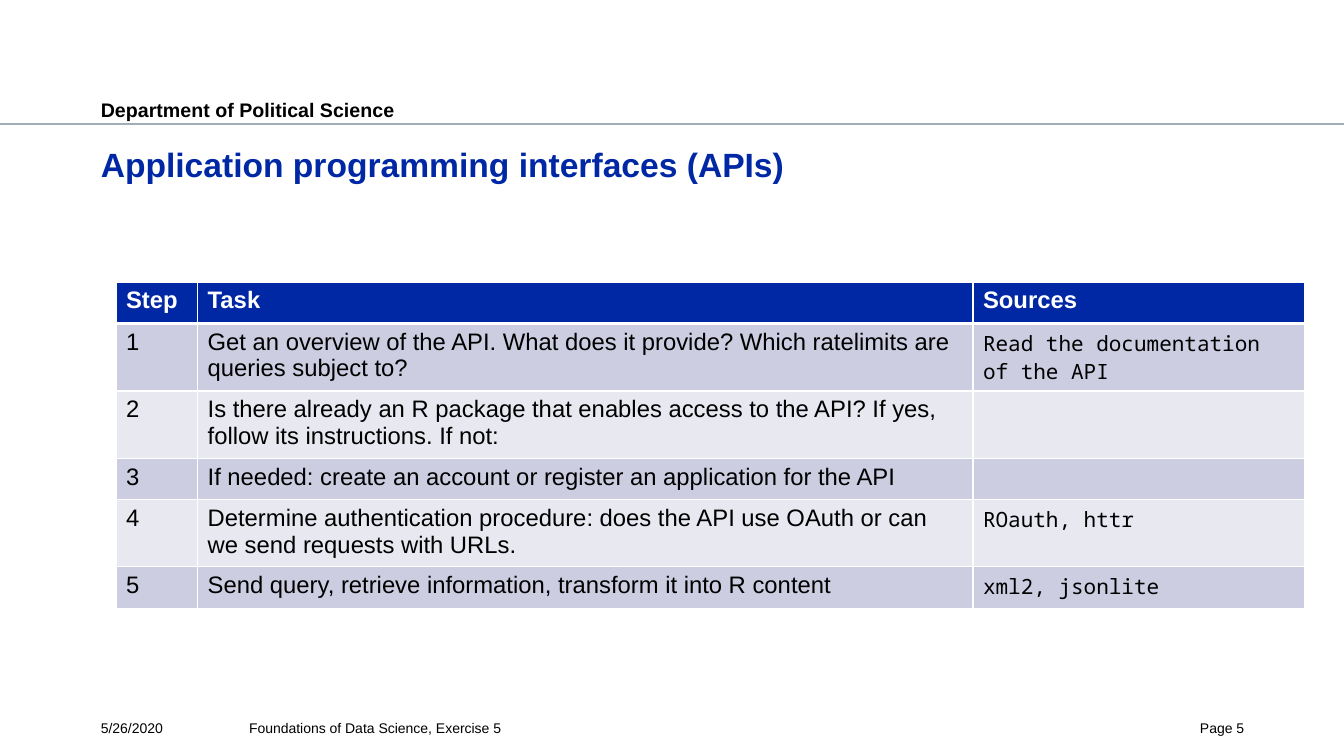
from lxml import etree
from pptx import Presentation
from pptx import util as u
from pptx.dml.color import RGBColor
from pptx.enum import shapes, text
from pptx.oxml.ns import qn

BLUE = RGBColor(0x00, 0x28, 0xA5)
BLACK = RGBColor(0, 0, 0)
WHITE = RGBColor(0xFF, 0xFF, 0xFF)
RULE_GREY = RGBColor(0xA3, 0xAD, 0xB7)
BANDS = (RGBColor(0xCC, 0xCD, 0xE1), RGBColor(0xE7, 0xE8, 0xF0))
BODY_FONT, CODE_FONT = "Arial", "Noto Sans Mono"

DEPARTMENT = "Department of Political Science"
TITLE = "Application programming interfaces (APIs)"
HEADERS = ("Step", "Task", "Sources")
STEPS = [
    ("Get an overview of the API. What does it provide? Which ratelimits are queries subject to?",
     "Read the documentation of the API"),
    ("Is there already an R package that enables access to the API? If yes, "
     "follow its instructions. If not:", ""),
    ("If needed: create an account or register an application for the API", ""),
    ("Determine authentication procedure: does the API use OAuth or can "
     "we send requests with URLs.", "ROauth, httr"),
    ("Send query, retrieve information, transform it into R content", "xml2, jsonlite"),
]
FOOTERS = [
    ("5/26/2020", 1, 1.36, text.PP_ALIGN.LEFT),
    ("Foundations of Data Science, Exercise 5", 2.47, 7.66, text.PP_ALIGN.LEFT),
    ("Page 5", 11.43, 0.91, text.PP_ALIGN.RIGHT),
]
COLUMN_WIDTHS = (0.81, 7.69, 3.29)
ROW_HEIGHTS = (0.41, 0.67, 0.63, 0.41, 0.63, 0.41)


def write(frame, words, size, font=BODY_FONT, color=BLACK, bold=False,
          align=text.PP_ALIGN.LEFT):
    """Put one formatted paragraph into a text frame."""
    paragraph = frame.paragraphs[0]
    paragraph.alignment = align
    run = paragraph.add_run()
    run.text = words
    run.font.size = u.Pt(size)
    run.font.name = font
    run.font.bold = bold
    run.font.color.rgb = color


def add_text(slide, words, left, top, width, height, inset_top=0, **style):
    """Add a wrapping text box without side margins."""
    box = slide.shapes.add_textbox(*map(u.Inches, (left, top, width, height)))
    frame = box.text_frame
    frame.word_wrap = True
    frame.margin_left = frame.margin_right = frame.margin_bottom = 0
    frame.margin_top = u.Inches(inset_top)
    write(frame, words, **style)


def add_rule(slide, top):
    """Draw the grey line across the slide."""
    line = slide.shapes.add_connector(
        shapes.MSO_CONNECTOR.STRAIGHT, 0, u.Inches(top), u.Inches(13.33), u.Inches(top))
    line.line.color.rgb = RULE_GREY
    line.line.width = u.Pt(1.25)
    etree.SubElement(line._element.spPr, qn("a:effectLst"))


def style_cell(cell, fill, top=1, bottom=1):
    """Fill a cell and give it white borders of the given widths in points."""
    properties = cell._tc.get_or_add_tcPr()
    for side, width in (("L", 1), ("R", 1), ("T", top), ("B", bottom)):
        border = etree.SubElement(properties, qn("a:ln" + side), w=str(u.Pt(width)))
        solid = etree.SubElement(border, qn("a:solidFill"))
        etree.SubElement(solid, qn("a:srgbClr"), val=str(WHITE))
    cell.fill.solid()
    cell.fill.fore_color.rgb = fill


def add_steps_table(slide, left, top):
    """Build the table of numbered steps under a blue header."""
    rows = [HEADERS] + [(str(number), *step) for number, step in enumerate(STEPS, 1)]
    table = slide.shapes.add_table(
        len(rows), len(HEADERS), u.Inches(left), u.Inches(top),
        u.Inches(sum(COLUMN_WIDTHS)), u.Inches(sum(ROW_HEIGHTS))).table
    for column, width in zip(table.columns, COLUMN_WIDTHS):
        column.width = u.Inches(width)
    for r, (row, height) in enumerate(zip(rows, ROW_HEIGHTS)):
        table.rows[r].height = u.Inches(height)
        for c, words in enumerate(row):
            cell = table.cell(r, c)
            if r == 0:
                style_cell(cell, BLUE, bottom=3)
                style = dict(size=17, color=WHITE, bold=True)
            else:
                style_cell(cell, BANDS[(r - 1) % 2], top=3 if r == 1 else 1)
                style = dict(size=15, font=CODE_FONT) if c == 2 else dict(size=17)
            if words:
                write(cell.text_frame, words, **style)


presentation = Presentation()
presentation.slide_width = u.Inches(13.33)
presentation.slide_height = u.Inches(7.5)
slide = presentation.slides.add_slide(presentation.slide_layouts[6])

add_rule(slide, 1.23)
add_text(slide, DEPARTMENT, 1, 0.93, 8.02, 0.25, inset_top=0.04, size=14, bold=True)
add_text(slide, TITLE, 1, 1.39, 11.34, 0.87, inset_top=0.04, size=24, color=BLUE, bold=True)
add_steps_table(slide, 1.15, 2.8)
for words, left, width, align in FOOTERS:
    add_text(slide, words, left, 7.14, width, 0.24, size=10, align=align)

presentation.save("out.pptx")
